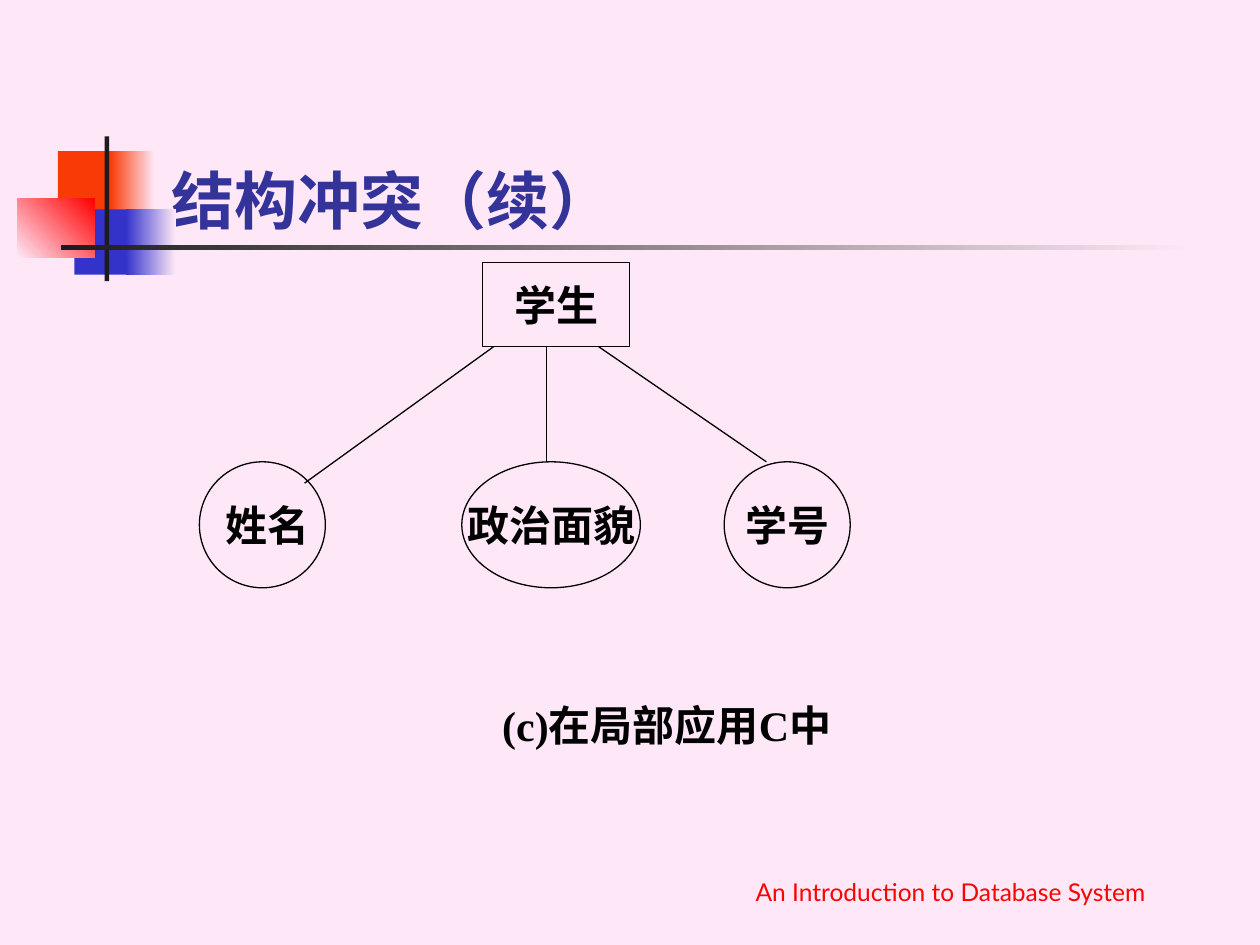
from lxml import etree
from pptx import Presentation
from pptx import util as u
from pptx.dml.color import RGBColor
from pptx.enum import shapes, text
from pptx.oxml.ns import qn

COLORS = {
    "background": "FEE8F7",
    "orange": "FA3A06",
    "blue": "3333CC",
    "red": "FF0000",
    "dark": "1C1C1C",
    "title": "333399",
    "ink": "000000",
}
HEADING_FONT = "Lato"
BODY_FONT = "Times New Roman"


def rgb(name):
    return RGBColor.from_string(COLORS[name])


class SlideBuilder:
    """Holds the style and the slide; lengths are in centimetres."""

    def __init__(self, presentation):
        self.slide = presentation.slides.add_slide(presentation.slide_layouts[5])
        fill = self.slide.background.fill
        fill.solid()
        fill.fore_color.rgb = rgb("background")

    def set_text(self, shape, words, font_name, size, color, bold=True,
                 align=text.PP_ALIGN.CENTER, anchor=text.MSO_ANCHOR.MIDDLE, wrap=False):
        frame = shape.text_frame
        frame.text = words
        frame.word_wrap = wrap
        frame.auto_size = text.MSO_AUTO_SIZE.NONE
        frame.vertical_anchor = anchor
        paragraph = frame.paragraphs[0]
        paragraph.alignment = align
        font = paragraph.font
        font.name, font.size, font.bold = font_name, u.Pt(size), bold
        font.color.rgb = rgb(color)

    def title(self, words, *box):
        shape = self.slide.shapes.title
        shape.left, shape.top, shape.width, shape.height = map(u.Cm, box)
        self.set_text(shape, words, HEADING_FONT, 36, "title", wrap=True,
                      align=text.PP_ALIGN.LEFT, anchor=text.MSO_ANCHOR.BOTTOM)

    def block(self, box, start, end=None, angle=0):
        """Draw a borderless rectangle, fading from start to end if both are given."""
        shape = self.slide.shapes.add_shape(
            shapes.MSO_SHAPE.RECTANGLE, *map(u.Cm, box))
        shape.shadow.inherit = False
        shape.line.fill.background()
        if end is None:
            shape.fill.solid()
            shape.fill.fore_color.rgb = rgb(start)
        else:
            shape.fill.gradient()
            shape.fill.gradient_angle = angle
            for stop, color in zip(shape.fill.gradient_stops, (start, end)):
                stop.color.rgb = rgb(color)

    def node(self, kind, words, left, top, width, height, indent=0.25):
        shape = self.slide.shapes.add_shape(
            kind, *map(u.Cm, (left, top, width, height)))
        shape.shadow.inherit = False
        shape.fill.background()
        shape.line.color.rgb = rgb("ink")
        shape.line.width = u.Pt(0.75)
        self.set_text(shape, words, BODY_FONT, 24, "ink")
        shape.text_frame.margin_left = u.Cm(indent)

    def link(self, *ends):
        line = self.slide.shapes.add_connector(
            shapes.MSO_CONNECTOR.STRAIGHT, *map(u.Cm, ends))
        line.line.color.rgb = rgb("ink")
        line.line.width = u.Pt(0.75)
        etree.SubElement(line._element.spPr, qn("a:effectLst"))

    def label(self, words, box, *style, **options):
        shape = self.slide.shapes.add_textbox(*map(u.Cm, box))
        self.set_text(shape, words, *style, **options)


def main():
    presentation = Presentation()
    presentation.slide_width, presentation.slide_height = u.Cm(25.4), u.Cm(19.05)
    builder = SlideBuilder(presentation)

    builder.block((1.17, 3.05, 1.22, 1.32), "orange")
    builder.block((2.22, 3.05, 0.9, 1.32), "orange", "background")
    builder.block((1.5, 4.22, 1.17, 1.32), "blue")
    builder.block((2.54, 4.22, 1.0, 1.32), "blue", "background")
    builder.block((0.35, 4.01, 1.56, 1.18), "background", "red", angle=45)
    builder.block((2.11, 2.75, 0.09, 2.92), "dark")
    builder.block((1.23, 4.94, 22.86, 0.1), "dark", "background")

    builder.title("结构冲突（续）", 3.2, 1.73, 21.64, 3.18)

    entity_bottom, attribute_top, diameter = 6.99, 9.31, 2.54
    builder.node(shapes.MSO_SHAPE.RECTANGLE, "学生", 9.73, 5.29, 2.96, 1.69)
    attributes = [
        ("姓名", 4.02, diameter, 0.45),
        ("政治面貌", 9.31, 3.6, 0.25),
        ("学号", 14.6, diameter, 0.25),
    ]
    for words, left, width, indent in attributes:
        builder.node(shapes.MSO_SHAPE.OVAL, words, left, attribute_top,
                     width, diameter, indent)
    links = [(9.95, 6.14, 9.74), (11.01, 11.01, attribute_top),
             (12.07, 15.45, attribute_top)]
    for start_x, end_x, end_y in links:
        builder.link(start_x, entity_bottom, end_x, end_y)

    builder.label("(c)在局部应用C中", (9.31, 13.76, 8.26, 1.69), BODY_FONT, 24, "ink")
    builder.label("An Introduction to Database System", (13.97, 17.12, 10.39, 1.27),
                  HEADING_FONT, 14, "red", bold=False, wrap=True,
                  anchor=text.MSO_ANCHOR.BOTTOM)
    presentation.save("out.pptx")


if __name__ == "__main__":
    main()
